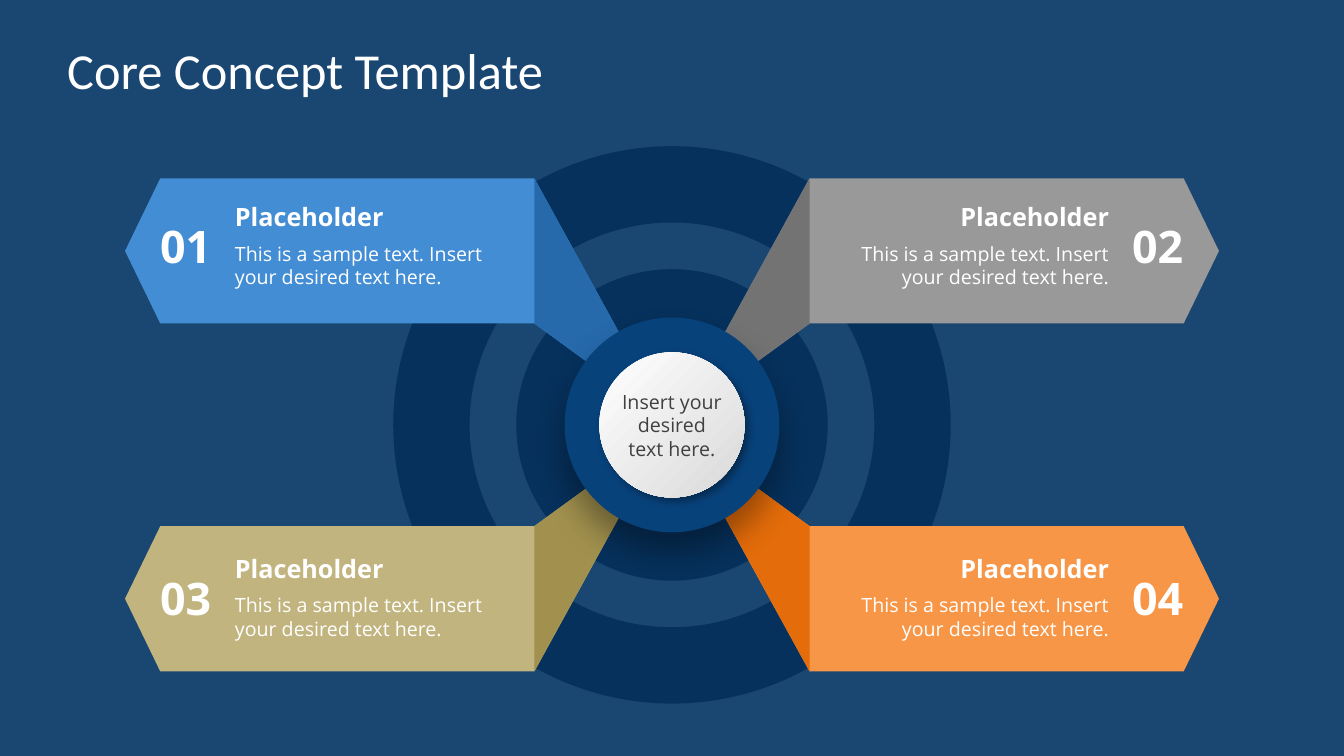
"""Build the core concept slide with four tabs around a central circle."""
import pptx
import pptx.dml.color
import pptx.enum.shapes
import pptx.enum.text
import pptx.oxml
import pptx.oxml.ns
import pptx.util

Pt = pptx.util.Pt
SHAPES = pptx.enum.shapes.MSO_SHAPE
ALIGN = pptx.enum.text.PP_ALIGN
ANCHOR = pptx.enum.text.MSO_ANCHOR
AUTO_SIZE = pptx.enum.text.MSO_AUTO_SIZE

COLORS = {
    "background": "1A4772", "ring": "06315C", "hub": "08427B", "white": "FFFFFF",
    "silver": "D9D9D9", "core text": "404040", "shadow": "000000",
    "blue": "438DD5", "dark blue": "266AAC", "gray": "999999", "dark gray": "737373",
    "sand": "C1B47E", "dark sand": "A2914E", "orange": "F79646", "dark orange": "E46C0A",
}
CENTER_X, CENTER_Y = 480, 303.5
ROW_GAP = 251.2
TAB = [(98.3, 176.1), (365.5, 176.1), (390.7, 124.2), (365.5, 72.4), (98.3, 72.4), (3.4, 3.3)]
FOLD = [(98.3, 176.1), (98.3, 72.4), (3.4, 3.3)]
CONCEPTS = [("01", "blue"), ("02", "gray"), ("03", "sand"), ("04", "orange")]


class SlideBuilder:
    """Hold the style and the current slide."""

    def __init__(self, presentation):
        self.slide = presentation.slides.add_slide(presentation.slide_layouts[5])
        self.font_name = "Open Sans"
        self.paint(self.slide.background.fill, "background")

    def color(self, name):
        return pptx.dml.color.RGBColor.from_string(COLORS[name])

    def paint(self, fill, name):
        fill.solid()
        fill.fore_color.rgb = self.color(name)

    def finish(self, shape, color):
        self.paint(shape.fill, color)
        shape.line.fill.background()
        shape.shadow.inherit = False
        return shape

    def set_text(self, shape, text, size, color="white", bold=False, align=ALIGN.LEFT,
                 font_name=None, inset=0, **frame_format):
        frame = shape.text_frame
        frame_format = {"word_wrap": True, "margin_left": Pt(inset), "margin_right": Pt(inset),
                        "margin_top": Pt(inset / 2), "margin_bottom": Pt(inset / 2),
                        **frame_format}
        for name, value in frame_format.items():
            setattr(frame, name, value)
        paragraph = frame.paragraphs[0]
        paragraph.alignment = align
        run = paragraph.add_run()
        run.text = text
        font_format = {"name": font_name or self.font_name, "size": Pt(size), "bold": bold}
        for name, value in font_format.items():
            setattr(run.font, name, value)
        run.font.color.rgb = self.color(color)

    def title(self, text, left, top, width, height):
        title = self.slide.shapes.title
        position = {"left": left, "top": top, "width": width, "height": height}
        for name, value in position.items():
            setattr(title, name, Pt(value))
        self.set_text(title, text, 36, font_name="Calibri", vertical_anchor=ANCHOR.MIDDLE,
                      auto_size=AUTO_SIZE.NONE)

    def text(self, text, left, top, width, height, size, **text_format):
        box = self.slide.shapes.add_textbox(Pt(left), Pt(top), Pt(width), Pt(height))
        self.set_text(box, text, size, auto_size=AUTO_SIZE.SHAPE_TO_FIT_TEXT, **text_format)

    def round(self, kind, diameter, color):
        shape = self.slide.shapes.add_shape(
            kind, Pt(CENTER_X - diameter / 2), Pt(CENTER_Y - diameter / 2),
            Pt(diameter), Pt(diameter))
        return self.finish(shape, color)

    def ring(self, diameter, thickness):
        self.round(SHAPES.DONUT, diameter, "ring").adjustments[0] = thickness

    def polygon(self, offsets, side, level, color):
        points = [(Pt(CENTER_X + side * x), Pt(CENTER_Y + level * y)) for x, y in offsets]
        builder = self.slide.shapes.build_freeform(*points[0])
        builder.add_line_segments(points[1:], close=True)
        self.finish(builder.convert_to_shape(), color)

    def shadow(self, shape, opacity, blur, distance, angle):
        effects = shape._element.spPr.find(pptx.oxml.ns.qn("a:effectLst"))
        effects.append(pptx.oxml.parse_xml(
            f'<a:outerShdw {pptx.oxml.ns.nsdecls("a")} blurRad="{Pt(blur)}" '
            f'dist="{Pt(distance)}" dir="{angle * 60000}" algn="ctr" rotWithShape="0">'
            f'<a:srgbClr val="{COLORS["shadow"]}"><a:alpha val="{opacity * 1000}"/>'
            '</a:srgbClr></a:outerShdw>'))

    def gradient(self, shape, names, angle):
        shape.fill.gradient()
        shape.fill.gradient_angle = angle
        for position, (stop, name) in enumerate(zip(shape.fill.gradient_stops, names)):
            stop.position = position
            stop.color.rgb = self.color(name)

    def concept_tab(self, index, color):
        side, level = (-1, 1)[index % 2], (-1, 1)[index // 2]
        self.polygon(TAB, side, level, color)
        self.polygon(FOLD, side, level, f"dark {color}")

    def concept_text(self, index, number):
        row, column = divmod(index, 2)
        shift = row * ROW_GAP
        left, number_left = ((167.8, 107.3), (597.8, 801.5))[column]
        align = (ALIGN.LEFT, ALIGN.RIGHT)[column]
        self.text("Placeholder", left, 144 + shift, 194.4, 21.6, 18, bold=True, align=align)
        self.text("This is a sample text. Insert your desired text here.",
                  left, 172.6 + shift, 194.4, 33.8, 14, align=align)
        self.text(number, number_left, 152.7 + shift, 51.1, 46.1, 32, bold=True,
                  inset=7.2, word_wrap=False)

    def core(self):
        hub = self.round(SHAPES.OVAL, 153.4, "hub")
        self.shadow(hub, 34, 24, 14, 90)
        core = self.round(SHAPES.OVAL, 103.7, "white")
        self.gradient(core, ("white", "silver"), 315)
        self.shadow(core, 36, 6, 4, 45)
        self.set_text(core, "Insert your desired text here.", 14, color="core text",
                      align=ALIGN.CENTER, vertical_anchor=ANCHOR.MIDDLE)


def main():
    presentation = pptx.Presentation()
    presentation.slide_width, presentation.slide_height = Pt(960), Pt(540)
    builder = SlideBuilder(presentation)
    builder.title("Core Concept Template", 48, 21.6, 864, 56.2)
    builder.ring(222.5, 0.223)
    builder.ring(398.2, 0.137)
    for index, (number, color) in enumerate(CONCEPTS):
        builder.concept_tab(index, color)
    for index, (number, color) in enumerate(CONCEPTS):
        builder.concept_text(index, number)
    builder.core()
    presentation.save("out.pptx")


if __name__ == "__main__":
    main()
